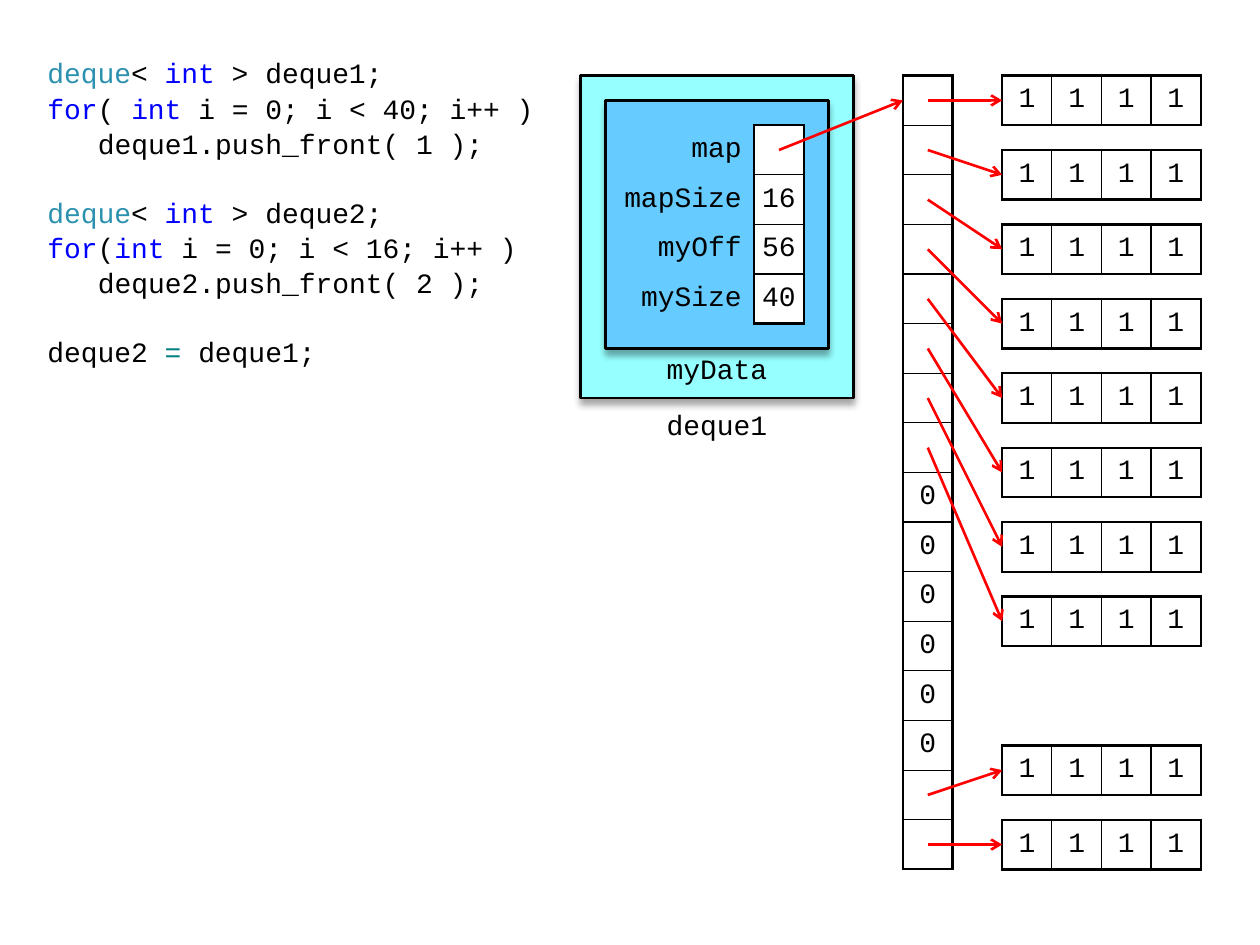
from pptx import Presentation
from pptx.dml.color import RGBColor
from pptx.enum.shapes import MSO_CONNECTOR, MSO_SHAPE
from pptx.enum.text import MSO_ANCHOR, PP_ALIGN
from pptx.oxml import parse_xml
from pptx.oxml.ns import nsdecls
from pptx.util import Pt

BLACK = RGBColor(0, 0, 0)
WHITE = RGBColor(255, 255, 255)
RED = RGBColor(255, 0, 0)
BLUE = RGBColor(0, 0, 255)
TEAL = RGBColor(0x2B, 0x91, 0xAF)
GREEN = RGBColor(0, 0x80, 0x80)
CYAN = RGBColor(0x96, 0xFF, 0xFF)
SKY = RGBColor(0x66, 0xCC, 0xFF)

FONT = "Courier New"
CELL = 28.35      # side of one memory cell
TOP = 43.2        # top of map and blocks
MAP = 516         # left of map
BLOCK = MAP + 2 * CELL

prs = Presentation()
prs.slide_width, prs.slide_height = Pt(720), Pt(540)
slide = prs.slides.add_slide(prs.slide_layouts[6])
shapes = slide.shapes


def add_grid(x, y, rows, widths, bare=0):
    """Table with a thick frame; the first `bare` columns are plain labels."""
    high, wide = len(rows), len(widths)
    table = shapes.add_table(high, wide, Pt(x), Pt(y), Pt(sum(widths)),
                             Pt(high * CELL)).table
    table.first_row = table.horz_banding = False
    for col, width in zip(table.columns, widths):
        col.width = Pt(width)
    for r, row in enumerate(rows):
        table.rows[r].height = Pt(CELL)
        for c, text in enumerate(row):
            cell, label = table.cell(r, c), c < bare
            cell.text = text
            cell.vertical_anchor = MSO_ANCHOR.MIDDLE
            cell.margin_left = cell.margin_top = cell.margin_bottom = Pt(3)
            cell.margin_right = Pt(7.2 if label else 3)
            para = cell.text_frame.paragraphs[0]
            para.alignment = PP_ALIGN.RIGHT if label else PP_ALIGN.CENTER
            para.font.name, para.font.size = FONT, Pt(16)
            para.font.color.rgb = BLACK
            if label:
                cell.fill.background()
                edges = {"L": 0, "R": 1.5 if c == bare - 1 else 0, "T": 0, "B": 0}
            else:
                cell.fill.solid()
                cell.fill.fore_color.rgb = WHITE
                outer = {"L": c == bare, "R": c == wide - 1,
                         "T": r == 0, "B": r == high - 1}
                edges = {side: 1.5 if out else 0.75 for side, out in outer.items()}
            props = cell._tc.get_or_add_tcPr()
            for i, (side, width) in enumerate(edges.items()):
                paint = (f'<a:solidFill><a:srgbClr val="{BLACK}"/></a:solidFill>'
                         if width else "<a:noFill/>")
                props.insert(i, parse_xml(
                    f'<a:ln{side} {nsdecls("a")} w="{Pt(width)}">{paint}</a:ln{side}>'))


def add_arrow(x1, y1, x2, y2):
    line = shapes.add_connector(MSO_CONNECTOR.STRAIGHT, Pt(x1), Pt(y1), Pt(x2), Pt(y2))
    line.line.color.rgb = RED
    line.line.width = Pt(1.5)
    line.line._get_or_add_ln().append(
        parse_xml(f'<a:tailEnd {nsdecls("a")} type="arrow"/>'))
    line._element.spPr.append(parse_xml(f'<a:effectLst {nsdecls("a")}/>'))


# Map of block pointers, unused entries hold 0
used = [*range(8), 14, 15]
add_grid(MAP, TOP, [["" if i in used else "0"] for i in range(16)], [CELL])

# Blocks, with an arrow from each map entry
for entry, slot in zip(used, [*range(8), 9, 10]):
    y = TOP + 1.5 * CELL * slot
    add_grid(BLOCK, y, [["1"] * 4], [CELL] * 4)
    add_arrow(MAP + CELL / 2, TOP + (entry + 0.5) * CELL, BLOCK, y + CELL / 2)

# Nested boxes of the deque object: left, top, width, height in cells
for x, y, w, h, color in [(-6.5, 0, 5.5, 6.5, CYAN), (-6, 0.5, 4.5, 5, SKY)]:
    box = shapes.add_shape(MSO_SHAPE.FLOWCHART_PROCESS, Pt(MAP + x * CELL),
                           Pt(TOP + y * CELL), Pt(w * CELL), Pt(h * CELL))
    box.fill.solid()
    box.fill.fore_color.rgb = color
    box.line.color.rgb = BLACK
    box.line.width = Pt(1.5)
    box._element.spPr.append(parse_xml(
        f'<a:effectLst {nsdecls("a")}><a:outerShdw blurRad="{Pt(4)}" dist="{Pt(3)}" '
        f'dir="5400000" rotWithShape="0"><a:srgbClr val="{BLACK}">'
        '<a:alpha val="35000"/></a:srgbClr></a:outerShdw></a:effectLst>'))

# Box names
for text, x, y, w, anchor in [("deque1", -5.5, 6.5, 3.5, MSO_ANCHOR.MIDDLE),
                              ("myData", -5, 5.5, 2.5, MSO_ANCHOR.TOP)]:
    name = shapes.add_textbox(Pt(MAP + x * CELL), Pt(TOP + y * CELL),
                              Pt(w * CELL), Pt(CELL)).text_frame
    name.word_wrap = True
    name.vertical_anchor = anchor
    name.margin_left = name.margin_right = Pt(5.5)
    name.margin_top, name.margin_bottom = Pt(1.5), 0
    para = name.paragraphs[0]
    para.text = text
    para.alignment = PP_ALIGN.CENTER
    para.font.name, para.font.size = FONT, Pt(16)
    para.font.color.rgb = BLACK

# Data members
add_grid(MAP - 6 * CELL, TOP + CELL,
         [["map", ""], ["mapSize", "16"], ["myOff", "56"], ["mySize", "40"]],
         [3 * CELL, CELL], bare=1)
add_arrow(MAP - 2.5 * CELL, TOP + 1.5 * CELL, MAP, TOP + CELL / 2)

# Code: space before, indent, coloured runs
GAP = 20.1
code = [
    (0, 0, [("deque", TEAL), ("< ", BLACK), ("int", BLUE), (" > deque1;", BLACK)]),
    (1, 0, [("for", BLUE), ("( ", BLACK), ("int", BLUE),
            (" i = 0; i < 40; i++ )", BLACK)]),
    (1, 28.8, [("deque1.push_front( 1 );", BLACK)]),
    (GAP, 0, [("deque", TEAL), ("< ", BLACK), ("int", BLUE), (" > deque2;", BLACK)]),
    (1, 0, [("for", BLUE), ("(", BLACK), ("int", BLUE),
            (" i = 0; i < 16; i++ )", BLACK)]),
    (1, 28.8, [("deque2.push_front( 2 );", BLACK)]),
    (GAP, 0, [("deque2 ", BLACK), ("= ", GREEN), ("deque1;", BLACK)]),
]
frame = shapes.add_textbox(Pt(20), Pt(TOP - CELL / 2), Pt(10.5 * CELL),
                           Pt(6.5 * CELL)).text_frame
frame.word_wrap = True
frame.vertical_anchor = MSO_ANCHOR.MIDDLE
for i, (space, indent, runs) in enumerate(code):
    para = frame.add_paragraph() if i else frame.paragraphs[0]
    para.space_before = Pt(space)
    para.font.name, para.font.size = FONT, Pt(16)
    para._p.get_or_add_pPr().set("marL", str(Pt(indent)))
    for text, color in runs:
        run = para.add_run()
        run.text = text
        run.font.color.rgb = color

prs.save("out.pptx")
